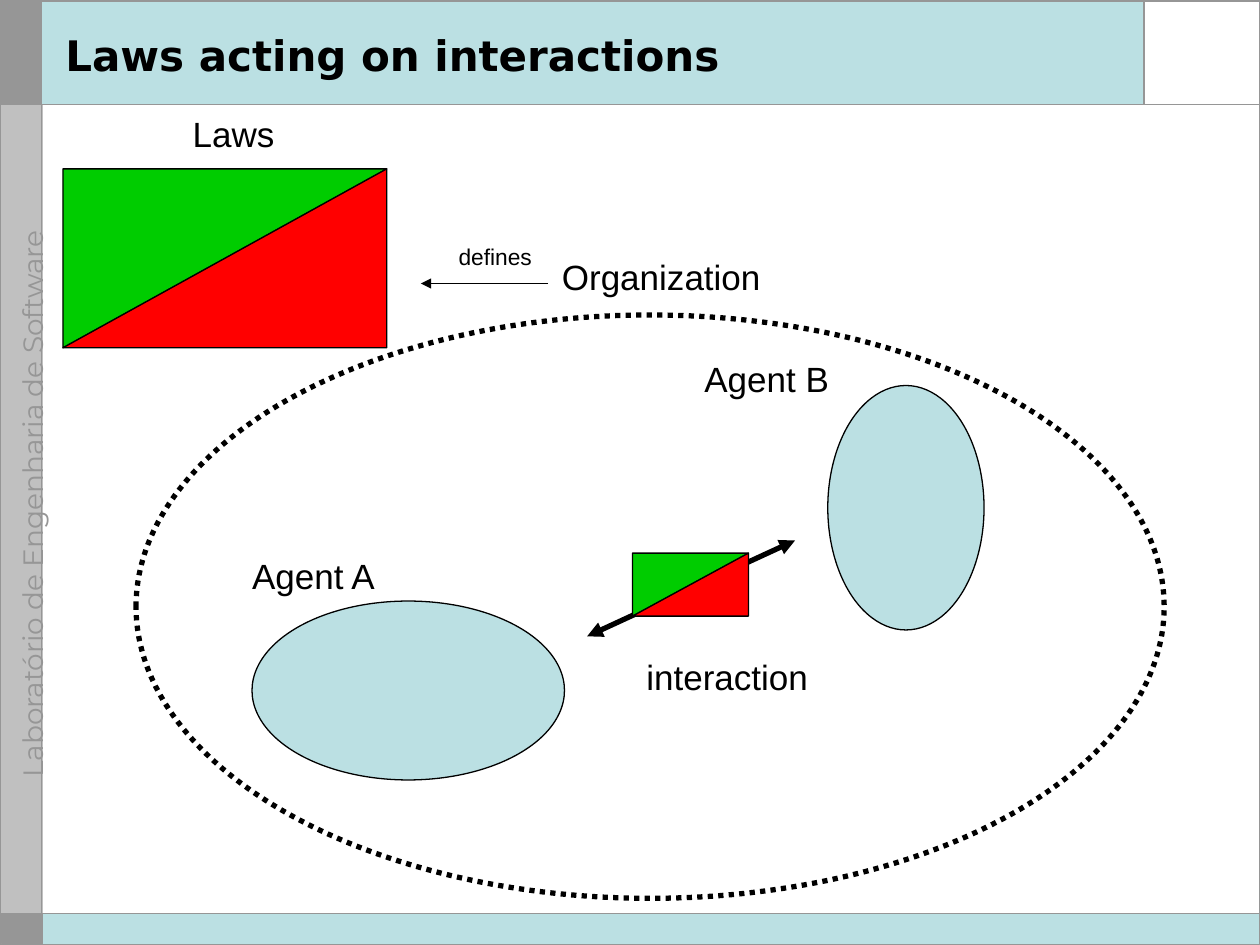
from pptx import Presentation
from pptx.dml.color import RGBColor as RGB
from pptx.enum.dml import MSO_LINE as Dash
from pptx.enum.shapes import MSO_CONNECTOR as Conn, MSO_SHAPE as Form
from pptx.enum.text import MSO_ANCHOR as Anchor, MSO_AUTO_SIZE as Fit, PP_ALIGN as Align
from pptx.oxml.ns import qn
from pptx.util import Inches, Pt
from lxml.etree import SubElement as Sub

INK = {"black": "000000", "white": "FFFFFF", "aqua": "BBE0E3", "dark": "969696",
       "gray": "C0C0C0", "green": "00CC00", "red": "FF0000"}
COLS, ROWS = 100, 75  # grid over the whole slide


class Deck:
    def __init__(self, wide=10, high=7.5):
        self.prs = Presentation()
        self.prs.slide_width, self.prs.slide_height = Inches(wide), Inches(high)
        self.slide = self.prs.slides.add_slide(self.prs.slide_layouts[6])
        self.shapes = self.slide.shapes
        self.font = "Arial"

    def x(self, col):
        return round(self.prs.slide_width * col / COLS)

    def y(self, row):
        return round(self.prs.slide_height * row / ROWS)

    def box(self, col, row, wide, high):
        return self.x(col), self.y(row), self.x(wide), self.y(high)

    def paint(self, shape, fill=None, line=None, width=0.75):
        shape.shadow.inherit = False
        if fill:
            shape.fill.solid()
            shape.fill.fore_color.rgb = RGB.from_string(INK[fill])
        else:
            shape.fill.background()
        if line:
            shape.line.color.rgb = RGB.from_string(INK[line])
            shape.line.width = Pt(width)
        else:
            shape.line.fill.background()
        return shape

    def rect(self, place, *style):
        return self.paint(self.shapes.add_shape(Form.RECTANGLE, *self.box(*place)), *style)

    def oval(self, place, *style):
        return self.paint(self.shapes.add_shape(Form.OVAL, *self.box(*place)), *style)

    def line(self, start, end, ink="black", width=0.75, heads=()):
        wire = self.shapes.add_connector(Conn.STRAIGHT, self.x(start[0]), self.y(start[1]),
                                         self.x(end[0]), self.y(end[1]))
        wire.line.color.rgb = RGB.from_string(INK[ink])
        wire.line.width = Pt(width)
        props = wire._element.spPr
        for head in heads:
            Sub(props.find(qn("a:ln")), qn("a:" + head), type="triangle")
        Sub(props, qn("a:effectLst"))

    def wedge(self, points, fill):
        spots = [(self.x(c), self.y(r)) for c, r in points]
        pen = self.shapes.build_freeform(*spots[0])
        pen.add_line_segments(spots[1:], close=True)
        self.paint(pen.convert_to_shape(), fill, "black")

    def law(self, col, row, wide, high):
        """A rectangle cut along its rising diagonal."""
        right, low = col + wide, row + high
        for corner, fill in (((col, row), "green"), ((right, low), "red")):
            self.wedge([corner, (col, low), (right, row)], fill)

    def text(self, place, words, size=20, ink="black", font=None, bold=False,
             inset=(0.11, 0.06), wrap=False):
        area = self.shapes.add_textbox(*self.box(*place))
        frame = area.text_frame
        frame.word_wrap = wrap
        frame.margin_left = frame.margin_right = Inches(inset[0])
        frame.margin_top = frame.margin_bottom = Inches(inset[1])
        run = frame.paragraphs[0].add_run()
        run.text = words
        run.font.name, run.font.size, run.font.bold = font or self.font, Pt(size), bold
        run.font.color.rgb = RGB.from_string(INK[ink])
        return area

    def label(self, place, words, size=20):
        self.text(place, words, size).text_frame.auto_size = Fit.SHAPE_TO_FIT_TEXT


def main():
    deck = Deck()
    side, head, foot, tab = 3.3, 8.3, 72.5, 90.8

    # Frame: side strip, title bar, corner and footer
    deck.rect((0.1, 0.1, side, head), "dark", "dark")
    deck.rect((side, 0, COLS - side, head), "aqua")
    deck.rect((0.1, head, side, foot - head), "gray", "gray")
    deck.rect((tab, 0, COLS - tab, head), "white")
    deck.rect((side, foot, COLS - side, ROWS - foot), "aqua")
    lab = deck.text((-22.4, 39.1, 48, 1.8), "Laboratório de Engenharia de Software",
                    16, "dark", "Montserrat", inset=(0.1, 0.05))
    lab.text_frame.paragraphs[0].alignment = Align.CENTER
    lab.rotation = 270
    deck.rect((0.1, foot, side, ROWS - foot - 0.1), "dark", "dark")
    for start, end in (((tab, 0), (tab, head)), ((0, head), (COLS, head)),
                       ((side, 0), (side, ROWS)), ((0, foot), (COLS, foot))):
        deck.line(start, end, "dark", 1)
    deck.rect((0, 0.1, COLS, ROWS - 0.1), None, "dark", 1)

    # Title
    title = deck.text((4.2, 1.2, 85.8, 6.2), "Laws acting on interactions", 24,
                      font="DejaVu Sans", bold=True, inset=(0.1, 0.05), wrap=True)
    title.text_frame.vertical_anchor = Anchor.MIDDLE

    # Agents
    deck.oval((20, 47.7, 24.8, 14.2), "aqua", "black")
    deck.oval((65.7, 30.6, 12.4, 19.4), "aqua", "black")
    deck.label((18.9, 43.4, 12.1, 4.4), "Agent A")
    deck.label((54.8, 27.8, 12.1, 4.4), "Agent B")

    # Interaction, with the laws laid over it
    deck.line((46.6, 50.5), (63.1, 42.9), width=3, heads=("headEnd", "tailEnd"))
    deck.law(5, 13.4, 25.7, 14.2)
    deck.label((14.2, 8.3, 8.7, 4.4), "Laws")
    deck.label((50.2, 51.4, 15.1, 4.4), "interaction")
    deck.law(50.2, 43.9, 9.2, 5)

    # Organization
    ring = deck.oval((10.8, 25, 81.6, 46.3), None, "black", 3)
    ring.line.dash_style = Dash.ROUND_DOT
    deck.label((43.5, 19.7, 18, 4.4), "Organization")
    deck.line((43.5, 22.5), (33.4, 22.5), heads=("tailEnd",))
    deck.label((35.3, 18.7, 8, 3.3), "defines", 13)

    deck.prs.save("out.pptx")


if __name__ == "__main__":
    main()
